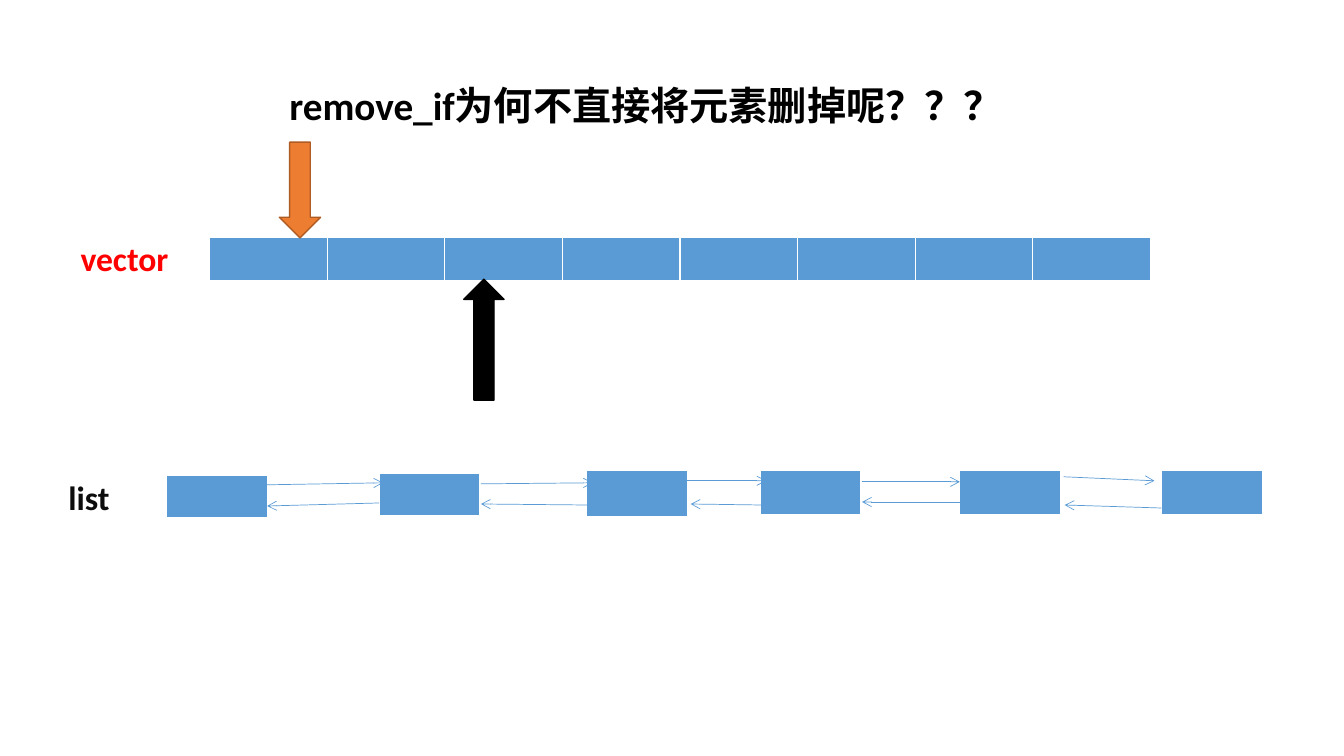
from lxml import etree
from pptx import Presentation
from pptx.dml.color import RGBColor
from pptx.enum.shapes import MSO_CONNECTOR, MSO_SHAPE
from pptx.enum.text import MSO_ANCHOR, MSO_AUTO_SIZE, PP_ALIGN
from pptx.oxml.ns import qn
from pptx.util import Inches, Pt

STRAIGHT = MSO_CONNECTOR.STRAIGHT
DOWN_ARROW, UP_ARROW = MSO_SHAPE.DOWN_ARROW, MSO_SHAPE.UP_ARROW
TOP, LEFT = MSO_ANCHOR.TOP, PP_ALIGN.LEFT
FIT_SHAPE = MSO_AUTO_SIZE.SHAPE_TO_FIT_TEXT

BLUE = RGBColor(0x5B, 0x9B, 0xD5)
ORANGE = RGBColor(0xED, 0x7D, 0x31)
BROWN = RGBColor(0xAF, 0x5C, 0x24)
BLACK = RGBColor(0x00, 0x00, 0x00)
NEAR_BLACK = RGBColor(0x0D, 0x0D, 0x0D)
RED = RGBColor(0xFF, 0x00, 0x00)

# Content: places are left, top, width, height in inches
TITLE = ("remove_if为何不直接将元素删掉呢？？？", (2.77, 0.76, 8.29, 0.57))
LABELS = [
    ("vector", (0.7, 2.31, 1.15, 0.5), RED),
    ("list", (0.58, 4.68, 0.77, 0.5), NEAR_BLACK),
]
VECTOR_PLACE, VECTOR_CELLS = (2.08, 2.36, 9.33, 0.42), 8
POINTERS = [
    (DOWN_ARROW, (2.77, 1.41, 0.41, 0.95), ORANGE, BROWN),
    (UP_ARROW, (4.6, 2.77, 0.4, 1.2), BLACK, BLACK),
]
NODE_WIDTH = 1
NODES = [  # left, top, height
    (1.65, 4.72, 0.42), (3.76, 4.7, 0.42), (5.82, 4.67, 0.45),
    (7.54, 4.67, 0.44), (9.52, 4.67, 0.44), (11.52, 4.67, 0.44),
]
LINKS = [  # start x, start y, end x, end y: next links, then previous links
    (2.63, 4.81, 3.8, 4.79), (4.77, 4.8, 5.88, 4.79),
    (6.77, 4.77, 7.6, 4.77), (8.55, 4.78, 9.52, 4.78),
    (10.55, 4.73, 11.45, 4.77),
    (11.52, 5.04, 10.56, 5.01), (9.56, 4.98, 8.55, 4.98),
    (7.55, 5.01, 6.85, 5), (5.82, 5.01, 4.77, 5),
    (3.76, 4.99, 2.65, 5.02),
]


def inches(values):
    return [Inches(value) for value in values]


def write_text(box, text, *, size, color, wrap=True):
    frame = box.text_frame
    frame.word_wrap = wrap
    frame.auto_size = FIT_SHAPE
    frame.vertical_anchor = TOP
    para = frame.paragraphs[0]
    para.alignment = LEFT
    span = para.add_run()
    span.text = text
    span.font.name = "Calibri"
    span.font.size = Pt(size)
    span.font.bold = True
    span.font.color.rgb = color


def add_cells(page, place, count=1):
    table = page.shapes.add_table(1, count, *inches(place)).table
    for cell in table.iter_cells():
        cell.fill.solid()
        cell.fill.fore_color.rgb = BLUE


def add_pointer(page, kind, place, fill, outline):
    arrow = page.shapes.add_shape(kind, *inches(place))
    arrow.shadow.inherit = False
    arrow.fill.solid()
    arrow.fill.fore_color.rgb = fill
    arrow.line.color.rgb = outline
    arrow.line.width = Pt(1)


def add_link(page, ends):
    link = page.shapes.add_connector(STRAIGHT, *inches(ends))
    link.line.color.rgb = BLUE
    link.line.width = Pt(0.5)
    outline = link.line._get_or_add_ln()
    etree.SubElement(outline, qn("a:tailEnd"), type="arrow")
    etree.SubElement(link._element.spPr, qn("a:effectLst"))


def main():
    deck = Presentation()
    deck.slide_width, deck.slide_height = Inches(13.33), Inches(7.5)
    page = deck.slides.add_slide(deck.slide_layouts[5])

    # Title
    text, place = TITLE
    title = page.shapes.title
    title.left, title.top, title.width, title.height = inches(place)
    write_text(title, text, size=28, color=BLACK)

    # Vector with its two pointers
    add_cells(page, VECTOR_PLACE, VECTOR_CELLS)
    for pointer in POINTERS:
        add_pointer(page, *pointer)

    # List nodes and their links
    for left, top, height in NODES:
        add_cells(page, (left, top, NODE_WIDTH, height))
    for ends in LINKS:
        add_link(page, ends)

    # Row labels
    for text, place, color in LABELS:
        box = page.shapes.add_textbox(*inches(place))
        write_text(box, text, size=24, color=color, wrap=False)

    deck.save("out.pptx")


if __name__ == "__main__":
    main()
